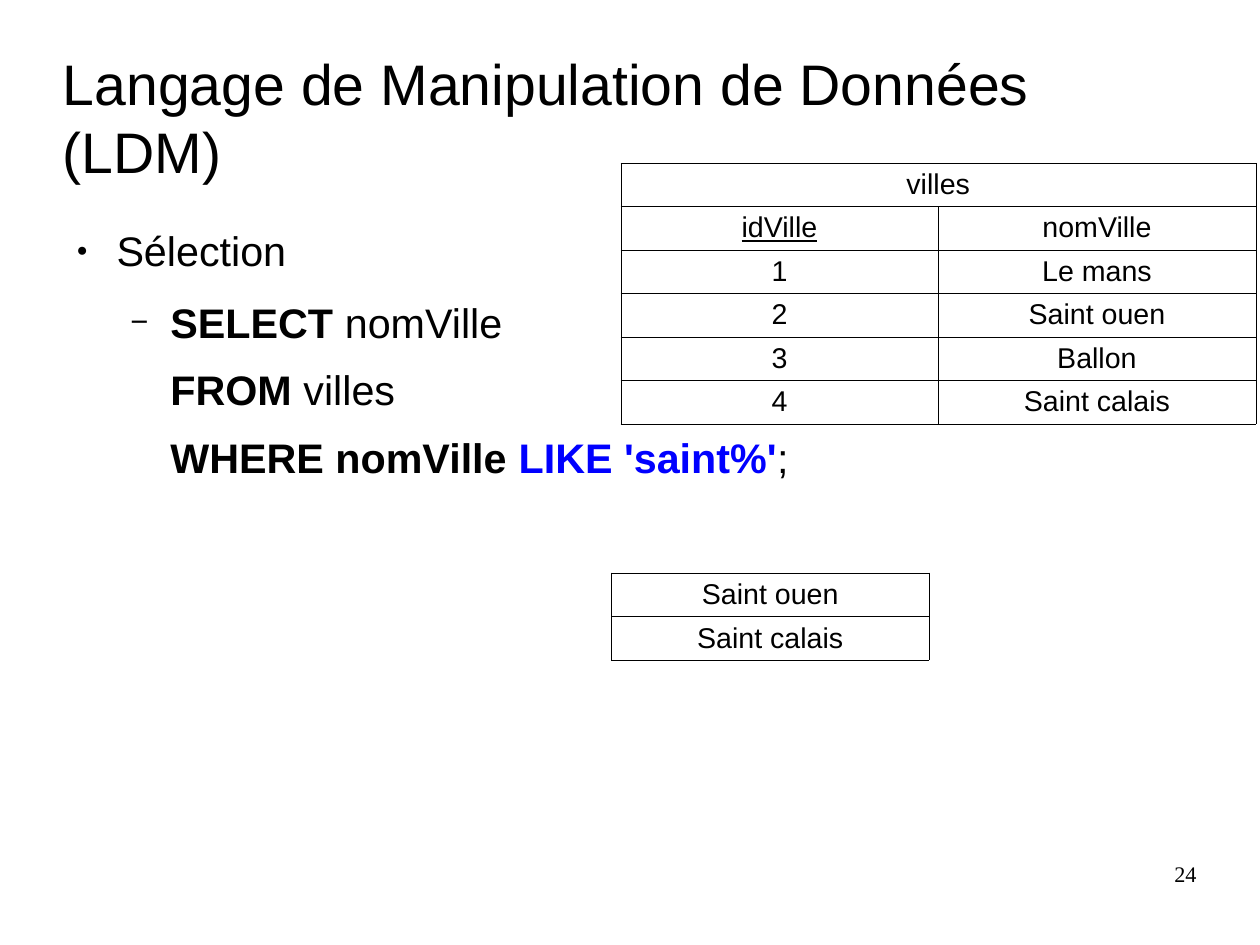
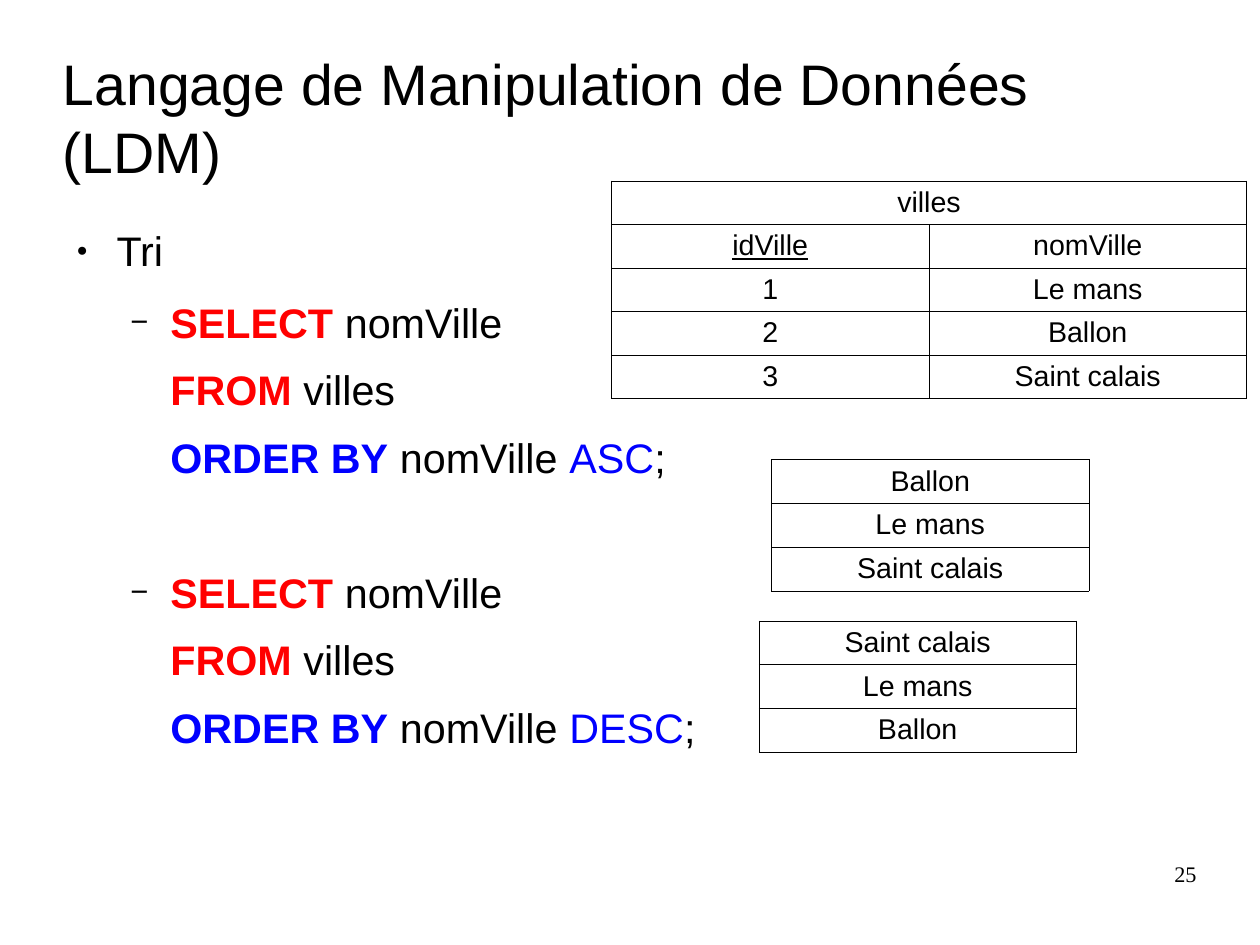
from lxml import etree
from pptx import Presentation
from pptx.dml.color import RGBColor
from pptx.enum.text import MSO_ANCHOR, MSO_AUTO_SIZE, PP_ALIGN
from pptx.oxml.ns import qn
from pptx.util import Pt

LEFT, MID, RIGHT = PP_ALIGN.LEFT, PP_ALIGN.CENTER, PP_ALIGN.RIGHT
TOP, CENTRE = MSO_ANCHOR.TOP, MSO_ANCHOR.MIDDLE
FIXED = MSO_AUTO_SIZE.NONE

HUES = {"black": "000000", "white": "FFFFFF", "red": "FF0000", "blue": "0000FF"}
SANS, SERIF = "Arial", "Times New Roman"
TITLE = "Langage de Manipulation de Données (LDM)"
COL = 200
LINE = 31.2
AFTER = 11.3


def rgb(hue):
    return RGBColor.from_string(HUES[hue])


def put(para, text, size=26, font=SANS, hue="black", bold=False, under=False,
        align=LEFT):
    para.alignment = align
    run = para.add_run()
    run.text = text
    run.font.size = Pt(size)
    run.font.name = font
    run.font.color.rgb = rgb(hue)
    run.font.bold = bold
    run.font.underline = under


def place(shape, left, top, width, height, anchor=TOP):
    """Set a text shape's box, without insets, and return its text frame."""
    shape.left, shape.top = Pt(left), Pt(top)
    shape.width, shape.height = Pt(width), Pt(height)
    frame = shape.text_frame
    frame.margin_left = frame.margin_right = 0
    frame.margin_top = frame.margin_bottom = 0
    frame.word_wrap = True
    frame.auto_size = FIXED
    frame.vertical_anchor = anchor
    return frame


def node(parent, tag, **attrs):
    return etree.SubElement(parent, qn(tag), attrs)


def colour(parent, hue):
    node(node(parent, "a:solidFill"), "a:srgbClr", val=HUES[hue])


def mark(para, indent, char=None, scale=100):
    """Set the left indent and the hanging bullet, or no bullet."""
    props = para._p.get_or_add_pPr()
    props.set("marL", str(Pt(indent)))
    props.set("indent", str(Pt(-25.2 if char else 0)))
    if char:
        node(node(props, "a:buClr"), "a:srgbClr", val=HUES["black"])
        node(props, "a:buSzPct", val=str(scale * 1000))
        node(props, "a:buFont", typeface=SANS)
        node(props, "a:buChar", char=char)
    else:
        node(props, "a:buNone")


def space(para, line, before=0, after=0):
    para.line_spacing = Pt(line)
    para.space_before = Pt(before)
    para.space_after = Pt(after)


def add_query(frame, lines, before=0):
    """Add one dashed item; each line is a list of (text, format) runs."""
    for i, runs in enumerate(lines):
        para = frame.add_paragraph()
        para.level = 1
        mark(para, 67.7, None if i else "−", 75)
        space(para, LINE, 0 if i else before, AFTER)
        for text, form in runs:
            put(para, text, **form)


def add_body(slide, topic, queries):
    frame = place(slide.placeholders[1], 39.6, 141.8, 714.2, 344.9)
    para = frame.paragraphs[0]
    mark(para, 33.8, "●", 45)
    space(para, LINE, after=14.2)
    put(para, topic)
    for i, lines in enumerate(queries):
        add_query(frame, lines, LINE + AFTER if i else 0)


def edge(cell):
    props = cell._tc.get_or_add_tcPr()
    for i, side in enumerate("LRTB"):
        line = etree.Element(qn(f"a:ln{side}"), w=str(Pt(0.06)))
        colour(line, "black")
        props.insert(i, line)


def add_grid(slide, left, top, rows, high=27.6, head=None):
    """Draw a bordered table; head is a caption over all columns."""
    wide = len(rows[0])
    if head:
        rows = [[head] + [""] * (wide - 1)] + rows
    grid = slide.shapes.add_table(len(rows), wide, Pt(left), Pt(top),
                                  Pt(COL * wide), Pt(high * len(rows))).table
    grid.first_row = grid.horz_banding = False
    for r, row in enumerate(rows):
        grid.rows[r].height = Pt(high)
        for c, text in enumerate(row):
            cell = grid.cell(r, c)
            cell.fill.solid()
            cell.fill.fore_color.rgb = rgb("white")
            edge(cell)
            if text:
                put(cell.text_frame.paragraphs[0], text, size=18, align=MID,
                    under=text == "idVille")
    if head:
        grid.cell(0, 0).merge(grid.cell(0, wide - 1))


def add_towns(slide, left, top, towns):
    rows = [["idVille", "nomVille"]]
    rows += [[str(i), town] for i, town in enumerate(towns, 1)]
    add_grid(slide, left, top, rows, high=27.3, head="villes")


def add_list(slide, left, top, towns):
    add_grid(slide, left, top, [[town] for town in towns])


def add_slide(deck, number, topic, queries):
    slide = deck.slides.add_slide(deck.slide_layouts[1])
    para = place(slide.shapes.title, 39.6, 23.8, 714.2, 99.4,
                 CENTRE).paragraphs[0]
    space(para, 42.8)
    put(para, TITLE, size=36)
    add_body(slide, topic, queries)
    box = slide.shapes.add_textbox(0, 0, 0, 0)
    foot = place(box, 568.8, 542.2, 185, 41)
    put(foot.paragraphs[0], str(number), size=14, font=SERIF, align=RIGHT)
    return slide


def select(hue):
    """Give the two lines that open every query."""
    key = {"bold": True, "hue": hue}
    return [[("SELECT", key), (" nomVille", {})],
            [("FROM", key), (" villes", {})]]


def order(way):
    blue = {"hue": "blue"}
    return select("red") + [[("ORDER BY", {"bold": True, **blue}),
                             (" nomVille ", {}), (way, blue), (";", {})]]


def main():
    deck = Presentation()
    deck.slide_width, deck.slide_height = Pt(793.7), Pt(595.3)

    like = [("WHERE nomVille", {"bold": True}),
            (" LIKE 'saint%'", {"bold": True, "hue": "blue"}), (";", {})]
    slide = add_slide(deck, 24, "Sélection", [select("black") + [like]])
    towns = ["Le mans", "Saint ouen", "Ballon", "Saint calais"]
    add_towns(slide, 391, 102.6, towns)
    add_list(slide, 385.2, 360.7, [t for t in towns if t.startswith("Saint")])

    slide = add_slide(deck, 25, "Tri", [order("ASC"), order("DESC")])
    towns = ["Le mans", "Ballon", "Saint calais"]
    add_towns(slide, 385.2, 113.9, towns)
    add_list(slide, 486, 289.4, sorted(towns))
    add_list(slide, 478.1, 391, sorted(towns, reverse=True))

    deck.save("out.pptx")


if __name__ == "__main__":
    main()
